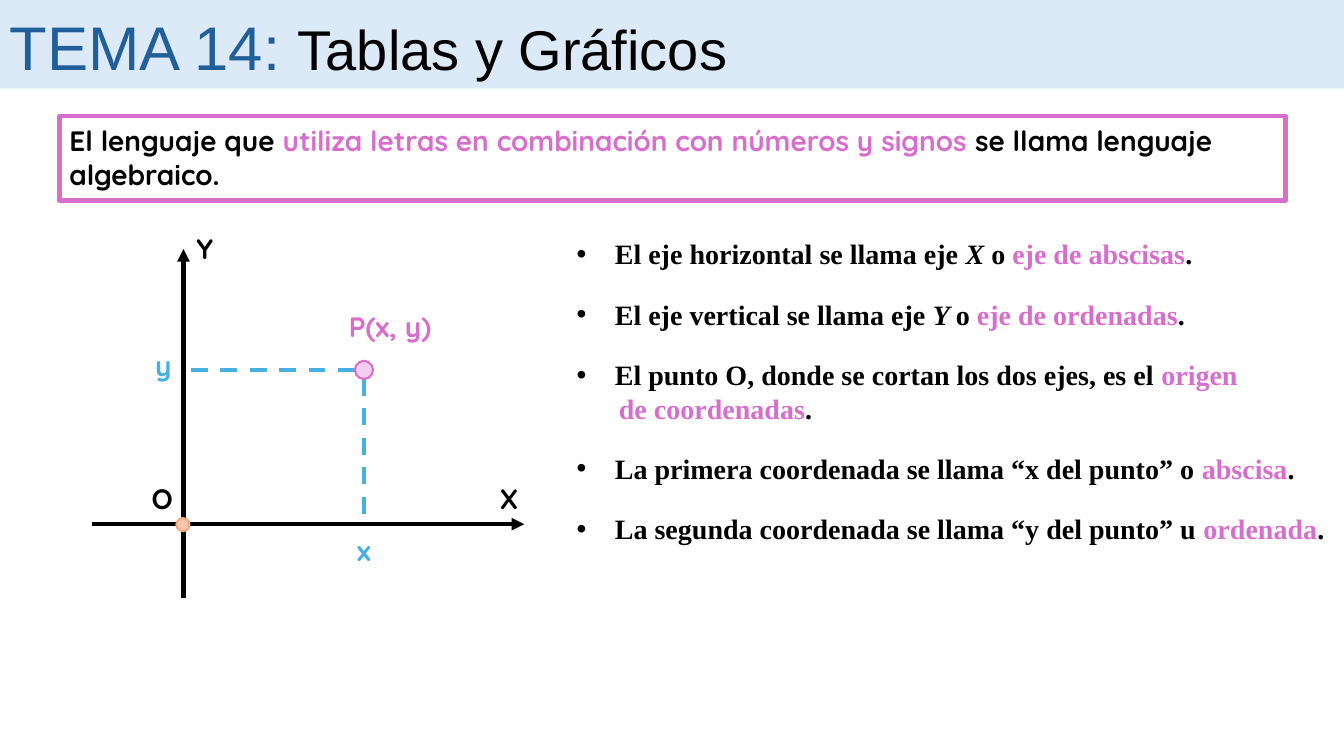
from lxml.etree import SubElement
from pptx import Presentation
from pptx.dml.color import RGBColor
from pptx.enum.dml import MSO_LINE
from pptx.enum.shapes import MSO_CONNECTOR, MSO_SHAPE
from pptx.enum.text import MSO_AUTO_SIZE, PP_ALIGN
from pptx.oxml.ns import qn
from pptx.util import Inches, Pt

COLORS = {
    "black": "000000",
    "band": "DCEAF7",
    "title": "215F9A",
    "pink": "D86ECC",
    "point": "F2CFEE",
    "blue": "46B1E1",
    "origin": "F6C6AD",
    "origin_line": "F2AA84",
}


class SlideBuilder:
    """Holds the style and the current slide."""

    def __init__(self, page):
        self.page = page

    def color(self, name):
        return RGBColor.from_string(COLORS[name])

    def shape(self, kind, left, top, width, height, fill=None, line=None, weight=1.5):
        shape = self.page.shapes.add_shape(
            kind, Inches(left), Inches(top), Inches(width), Inches(height))
        shape.shadow.inherit = False
        if fill:
            shape.fill.solid()
            shape.fill.fore_color.rgb = self.color(fill)
        else:
            shape.fill.background()
        if line:
            shape.line.color.rgb = self.color(line)
            shape.line.width = Pt(weight)
        else:
            shape.line.fill.background()

    def line(self, start, end, color="black", dashed=False, arrow=False):
        line = self.page.shapes.add_connector(
            MSO_CONNECTOR.STRAIGHT, *(Inches(value) for value in start + end))
        line.line.color.rgb = self.color(color)
        line.line.width = Pt(3)
        if dashed:
            line.line.dash_style = MSO_LINE.DASH
        if arrow:
            SubElement(line.line._get_or_add_ln(), qn("a:tailEnd"), type="triangle")
        SubElement(line._element.spPr, qn("a:effectLst"))

    def box(self, left, top, width, height):
        box = self.page.shapes.add_textbox(
            Inches(left), Inches(top), Inches(width), Inches(height))
        box.text_frame.word_wrap = True
        box.text_frame.auto_size = MSO_AUTO_SIZE.SHAPE_TO_FIT_TEXT
        return box.text_frame

    def add_spans(self, para, spans, font, size=20, bold=True):
        """Fill a paragraph with (text, color) spans."""
        para.font.name = font
        para.font.size = Pt(size)
        para.font.bold = bold
        for text, color in spans:
            span = para.add_run()
            span.text = text
            span.font.color.rgb = self.color(color)

    def label(self, text, left, top, width=0.7, color="black"):
        para = self.box(left, top, width, 0.44).paragraphs[0]
        para.alignment = PP_ALIGN.CENTER
        self.add_spans(para, [(text, color)], "Quicksand")

    def bullet(self, lines, top, width, height):
        frame = self.box(5.62, top, width, height)
        for number, spans in enumerate(lines):
            para = frame.add_paragraph() if number else frame.paragraphs[0]
            props = para._p.get_or_add_pPr()
            if number:
                props.set("marL", str(Inches(0.42)))
                props.set("indent", "0")
            else:
                props.set("marL", str(Inches(0.38)))
                props.set("indent", str(-Inches(0.38)))
                SubElement(props, qn("a:buFont"), typeface="Arial")
                SubElement(props, qn("a:buChar"), char="•")
            self.add_spans(para, spans, "Times New Roman")
            for span in para.runs:
                if span.text in ("X ", "Y "):
                    span.font.italic = True


def main():
    deck = Presentation()
    deck.slide_width, deck.slide_height = Inches(13.33), Inches(7.5)
    slide = SlideBuilder(deck.slides.add_slide(deck.slide_layouts[6]))

    # Title band
    slide.shape(MSO_SHAPE.RECTANGLE, 0, 0, 13.33, 0.88, fill="band")
    title = slide.box(0, 0.04, 11.85, 0.84).paragraphs[0]
    slide.add_spans(title, [("TEMA 14: ", "title"), ("Tablas y Gráficos", "black")],
                    "Arial", 40, False)
    title.runs[0].font.size = Pt(44)

    # Definition
    slide.shape(MSO_SHAPE.RECTANGLE, 0.59, 1.15, 12.16, 0.84, line="pink", weight=3)
    slide.add_spans(slide.box(0.59, 1.18, 12.16, 0.77).paragraphs[0], [
        ("El lenguaje que ", "black"),
        ("utiliza letras en combinación con números y signos ", "pink"),
        ("se llama lenguaje algebraico.", "black"),
    ], "Quicksand")

    # Axes and dashed guides
    origin_x, origin_y = 1.82, 5.2
    point_x, point_y, radius = 3.61, 3.67, 0.09
    slide.line((0.91, origin_y), (5.2, origin_y), arrow=True)
    slide.line((origin_x, 5.93), (origin_x, 2.47), arrow=True)
    slide.line((point_x, point_y + radius), (point_x, origin_y), "blue", dashed=True)
    slide.line((point_x - radius, point_y), (origin_x, point_y), "blue", dashed=True)

    # Point P and origin
    slide.shape(MSO_SHAPE.OVAL, point_x - radius, point_y - radius,
                2 * radius, 2 * radius, "point", "pink")
    slide.shape(MSO_SHAPE.OVAL, 1.75, 5.14, 0.13, 0.13, "origin", "origin_line")

    # Graph labels
    slide.label("Y", 1.68, 2.25)
    slide.label("X", 4.7, 4.73)
    slide.label("O", 1.26, 4.73)
    slide.label("x", 3.26, 5.24, color="blue")
    slide.label("y", 1.27, 3.41, color="blue")
    slide.label("P(x, y)", 3.26, 3.02, 1.22, "pink")

    # Bullet list: each box starts a fixed gap below the one before
    stop = (".", "black")
    bullets = [
        (6.76, [[("El eje horizontal se llama eje ", "black"), ("X ", "black"),
                 ("o ", "black"), ("eje de abscisas", "pink"), stop]]),
        (6.76, [[("El eje vertical se llama eje ", "black"), ("Y ", "black"),
                 ("o ", "black"), ("eje de ordenadas", "pink"), stop]]),
        (6.76, [[("El punto O, donde se cortan los dos ejes, es el ", "black"),
                 ("origen", "pink")],
                [("de coordenadas", "pink"), stop]]),
        (7.5, [[("La primera coordenada se llama “x del punto” o ", "black"),
                ("abscisa", "pink"), stop]]),
        (7.7, [[("La segunda coordenada se llama “y del punto” u ", "black"),
                ("ordenada", "pink"), stop]]),
    ]
    top = 2.3
    for width, lines in bullets:
        height = 0.11 + 0.33 * len(lines)
        slide.bullet(lines, top, width, height)
        top += height + 0.16

    deck.save("out.pptx")


if __name__ == "__main__":
    main()
